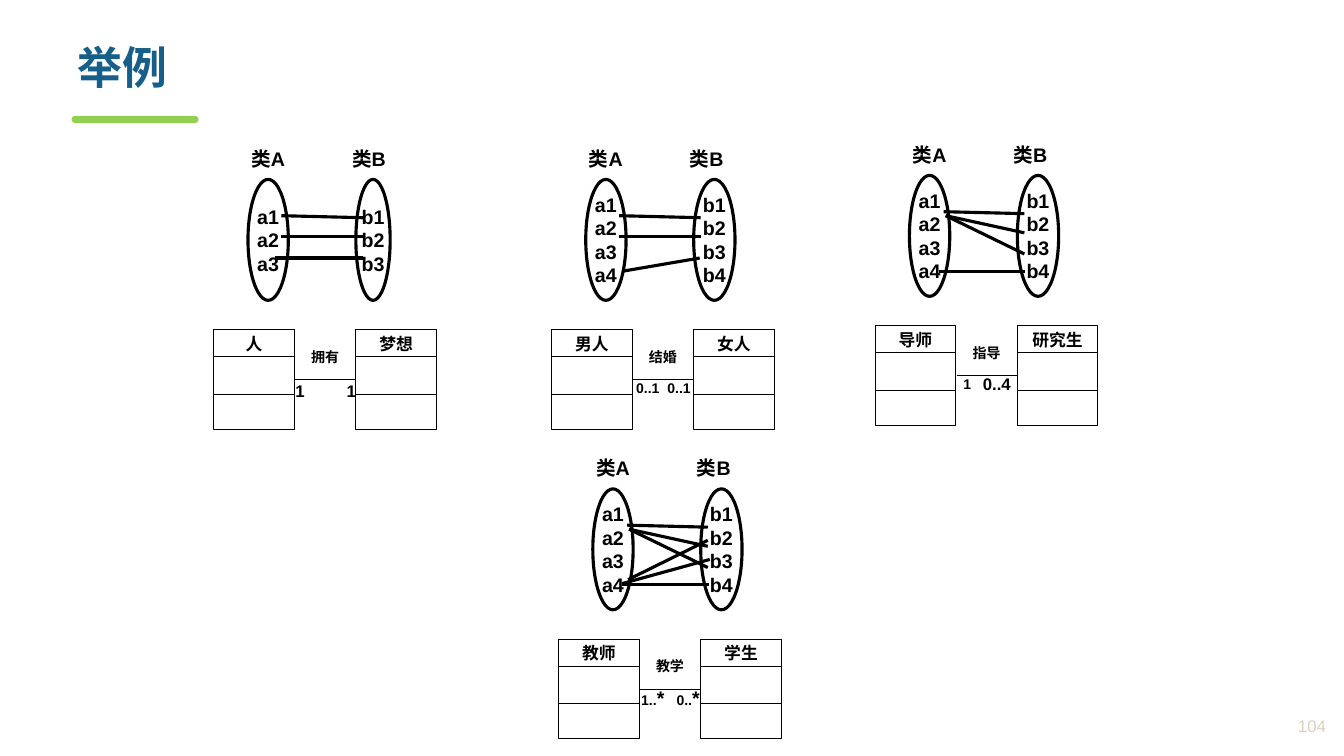
from dataclasses import dataclass
from typing import Any, NamedTuple

from lxml.etree import SubElement
from pptx import Presentation
from pptx.dml.color import RGBColor
from pptx.enum.shapes import MSO_CONNECTOR, MSO_SHAPE
from pptx.enum.text import MSO_ANCHOR, PP_ALIGN
from pptx.oxml.ns import qn
from pptx.util import Inches, Pt

BLACK = RGBColor(0x00, 0x00, 0x00)
BLUE = RGBColor(0x17, 0x5F, 0x8B)
GREEN = RGBColor(0x92, 0xD0, 0x50)
SAND = RGBColor(0xE0, 0xCF, 0xBD)
LATIN, HAN = "Arial", "Noto Sans CJK SC"
THICK, THIN = 2.25, 0.75
FRAME = {"word_wrap": False, "vertical_anchor": MSO_ANCHOR.MIDDLE,
         "margin_left": 0, "margin_right": 0, "margin_top": 0, "margin_bottom": 0}
HIGH = {"vertical_anchor": MSO_ANCHOR.TOP, "margin_top": Inches(0.04)}
FONT = {"name": LATIN, "bold": True}


class Run(NamedTuple):
    text: str
    size: float


class Link(NamedTuple):
    """Ends of a line, measured from the panel's origin."""
    x1: float
    y1: float
    x2: float
    y2: float


@dataclass
class Panel:
    """One mapping; its origin is the top left corner of the left oval."""
    left: float
    top: float
    names: tuple[str, str]
    verb: str
    ends: tuple[list[Run], list[Run]]
    span: float  # width between the outer edges of the two end marks
    links: list[Link]
    counts: tuple[int, int] = (4, 4)
    width: float = 0.41  # of the right oval
    drop: float = 1.93  # from origin to the end marks
    share: float = 0.5  # part of the span held by the left end mark


FLAT = [Link(0.33, 0.36, 1.14, 0.38), Link(0.33, 0.57, 1.14, 0.57)]
FAN = [Link(0.34, 0.36, 1.14, 0.38), Link(0.36, 0.40, 1.14, 0.57),
       Link(0.36, 0.40, 1.14, 0.78)]
BASE = Link(0.29, 0.95, 1.15, 0.95)
MANY = Run("*", 14)

PANELS = [
    Panel(2.46, 1.78, ("人", "梦想"), "拥有", ([Run("1", 12)], [Run("1", 12)]), 0.6,
          [*FLAT, Link(0.27, 0.78, 1.14, 0.78)], (3, 3), 0.34, 1.96),
    Panel(5.81, 1.78, ("男人", "女人"), "结婚", ([Run("0..1", 10)], [Run("0..1", 10)]),
          0.54, [*FLAT, Link(0.37, 0.91, 1.13, 0.78)]),
    Panel(9.02, 1.74, ("导师", "研究生"), "指导", ([Run("1", 10)], [Run("0..4", 12)]),
          0.47, [*FAN, BASE], share=0.3),
    Panel(5.88, 4.85, ("教师", "学生"), "教学",
          ([Run("1..", 10), MANY], [Run("0..", 10), MANY]), 0.58,
          [*FAN, BASE, Link(1.16, 0.70, 0.29, 0.94), Link(0.35, 0.90, 1.14, 0.51)]),
]


def apply(target: Any, values: dict[str, Any]) -> None:
    for key, value in values.items():
        setattr(target, key, value)


def write(shape: Any, lines: list[list[Run]], align: PP_ALIGN = PP_ALIGN.CENTER,
          color: RGBColor = BLACK, frame: dict[str, Any] = {},
          font: dict[str, Any] = {}) -> None:
    """Fill a shape with lines; frame and font override the defaults."""
    body = shape.text_frame
    apply(body, FRAME | frame)
    for index, line in enumerate(lines):
        para = body.add_paragraph() if index else body.paragraphs[0]
        para.alignment = align
        for part in line:
            run = para.add_run()
            run.text = part.text
            apply(run.font, FONT | {"size": Pt(part.size)} | font)
            run.font.color.rgb = color
            SubElement(run.font._element, qn("a:ea"), typeface=HAN)


def label(shapes: Any, x: float, y: float, w: float, h: float,
          line: list[Run], **style: Any) -> Any:
    box = shapes.add_textbox(Inches(x), Inches(y), Inches(w), Inches(h))
    write(box, [line], **style)
    return box


def stroke(shapes: Any, x1: float, y1: float, x2: float, y2: float,
           weight: float) -> None:
    line = shapes.add_connector(MSO_CONNECTOR.STRAIGHT, Inches(x1), Inches(y1),
                                Inches(x2), Inches(y2))
    line.line.color.rgb = BLACK
    line.line.width = Pt(weight)
    SubElement(line._element.spPr, qn("a:effectLst"))


def outline(shapes: Any, kind: MSO_SHAPE, x: float, y: float, w: float, h: float,
            weight: float) -> Any:
    shape = shapes.add_shape(kind, Inches(x), Inches(y), Inches(w), Inches(h))
    shape.shadow.inherit = False
    shape.fill.background()
    shape.line.color.rgb = BLACK
    shape.line.width = Pt(weight)
    return shape


def draw_class(shapes: Any, x: float, y: float, name: str) -> None:
    """Draw a class box with its two inner rules as one group."""
    group = shapes.add_group_shape().shapes
    box = outline(group, MSO_SHAPE.RECTANGLE, x, y, 0.8, 0.99, THIN)
    write(box, [[Run(name, 12)]], frame=HIGH)
    for step in (0.27, 0.64):
        stroke(group, x, y + step, x + 0.8, y + step, THIN)


def draw_panel(shapes: Any, panel: Panel) -> None:
    x, y = panel.left, panel.top
    sides = zip("AB", (0, 1.07), (0, 1), (-0.34, 1.07), (0.4, panel.width),
                panel.counts, panel.names)
    for side, oval, head, box, width, count, name in sides:
        shape = outline(shapes, MSO_SHAPE.OVAL, x + oval, y, width, 1.2, THICK)
        write(shape, [[Run(f"{side.lower()}{n}", 14)] for n in range(1, count + 1)])
        label(shapes, x + head, y - 0.35, 0.4, 0.28, [Run(f"类{side}", 14)])
        draw_class(shapes, x + box, y + 1.49, name)
    for link in panel.links:
        stroke(shapes, x + link.x1, y + link.y1, x + link.x2, y + link.y2, THICK)

    stroke(shapes, x + 0.47, y + 1.99, x + 1.07, y + 1.99, THIN)
    label(shapes, x + 0.53, y + 1.62, 0.47, 0.28, [Run(panel.verb, 10)])
    start = x + 0.77 - panel.span / 2
    first = panel.span * panel.share
    marks = zip(panel.ends, (start, start + first), (first, panel.span - first),
                (PP_ALIGN.LEFT, PP_ALIGN.RIGHT))
    for line, left, width, align in marks:
        label(shapes, left, y + panel.drop, width, 0.28, line, align=align,
              frame={"word_wrap": True})


def main() -> None:
    deck = Presentation()
    deck.slide_width, deck.slide_height = Inches(13.33), Inches(7.5)
    shapes = deck.slides.add_slide(deck.slide_layouts[6]).shapes

    bar = shapes.add_shape(MSO_SHAPE.ROUND_2_SAME_RECTANGLE, Inches(0.71),
                           Inches(1.15), Inches(1.26), Inches(0.07))
    bar.adjustments[0] = bar.adjustments[1] = 0.5
    bar.shadow.inherit = False
    bar.fill.solid()
    bar.fill.fore_color.rgb = GREEN
    bar.line.fill.background()

    for panel in PANELS:
        draw_panel(shapes, panel)

    wide = {"word_wrap": True, "margin_left": Inches(0.1), "margin_right": Inches(0.1)}
    title = label(shapes, 0.67, 0.41, 12.27, 0.75, [Run("举例", 32)],
                  align=PP_ALIGN.LEFT, color=BLUE, font={"name": HAN},
                  frame=wide | HIGH)
    title.text_frame.paragraphs[0].line_spacing = 0.9
    label(shapes, 12.12, 7.01, 1.13, 0.38, [Run("104", 12)], align=PP_ALIGN.RIGHT,
          color=SAND, frame=wide, font={"bold": False})
    deck.save("out.pptx")


if __name__ == "__main__":
    main()
